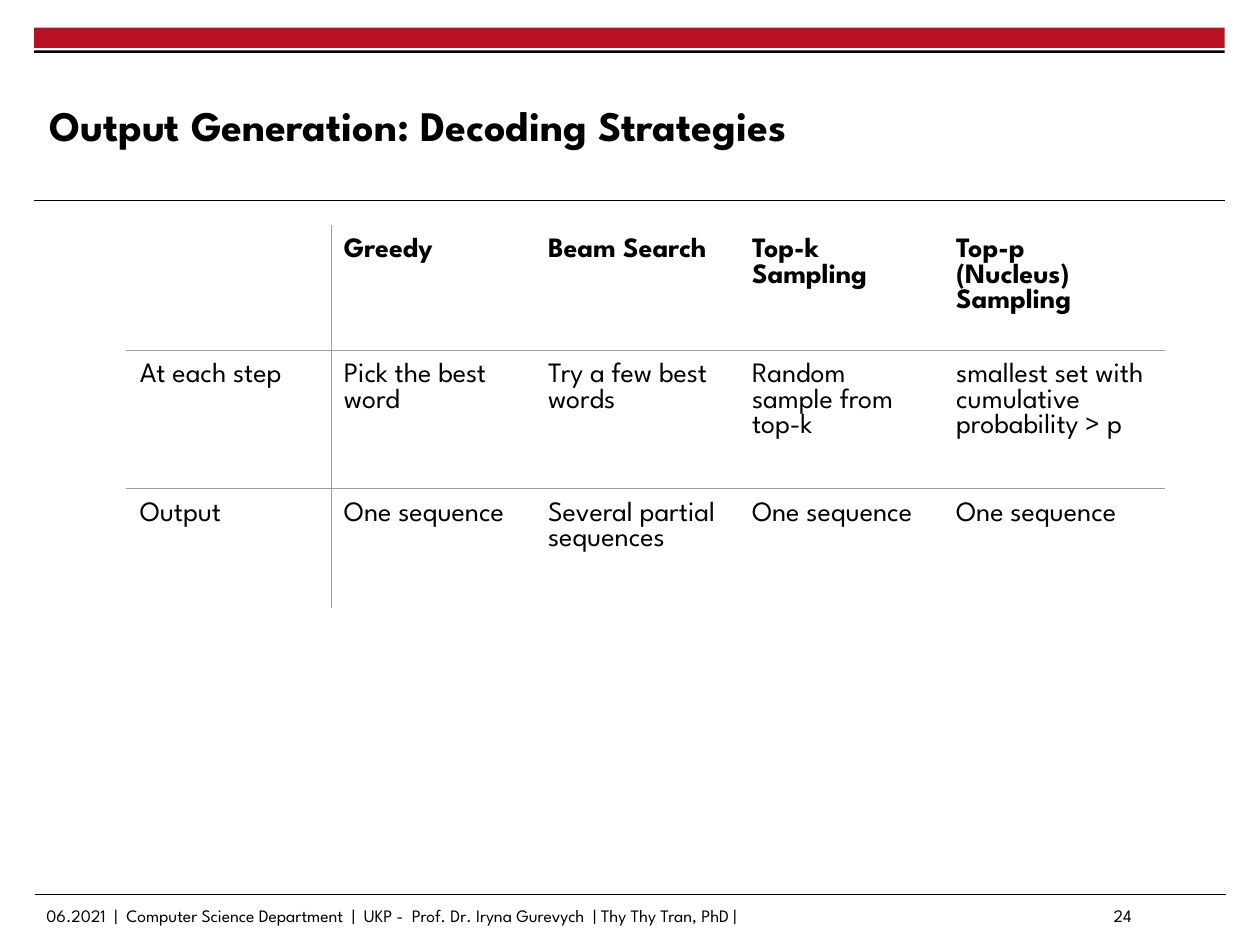
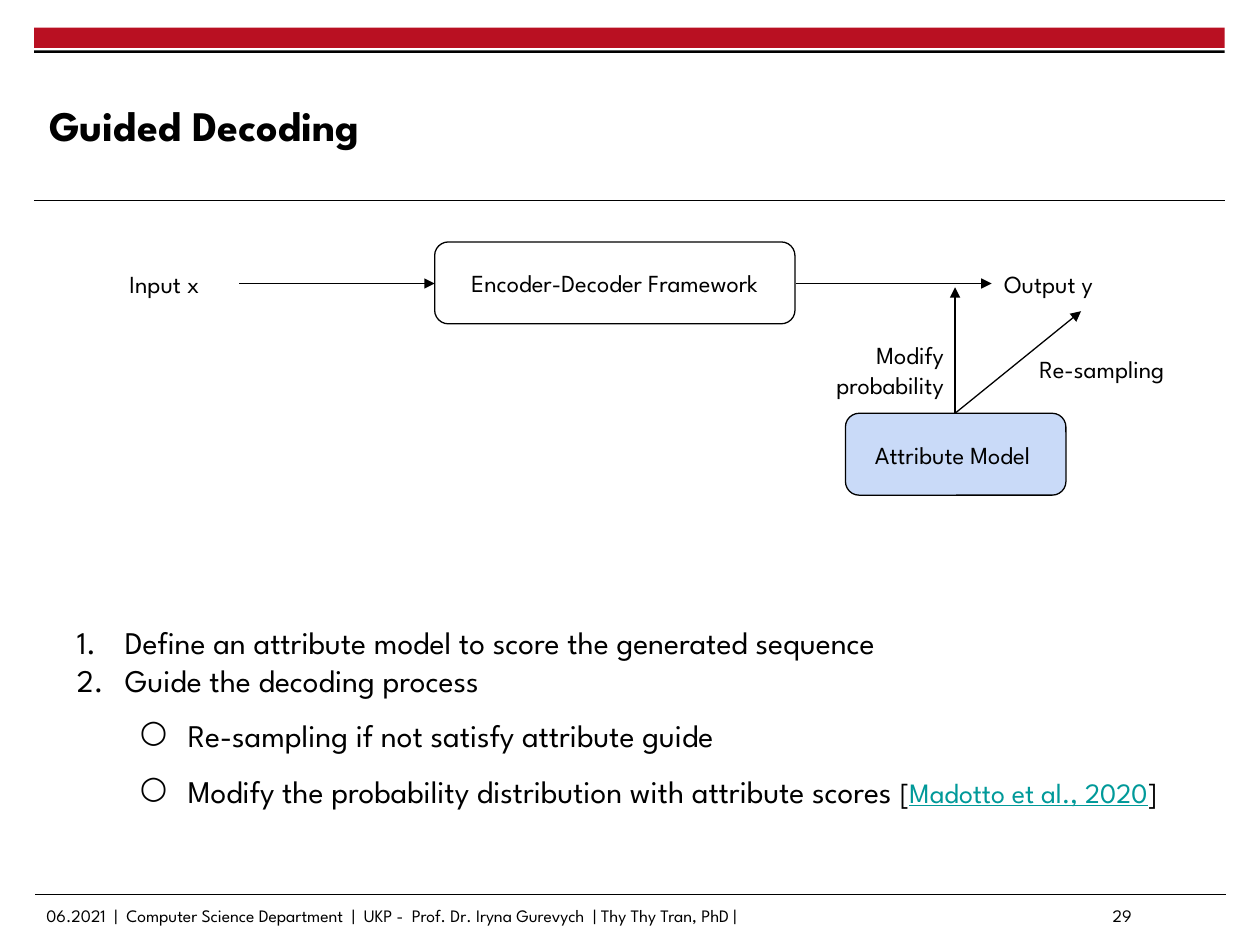
from lxml import etree
from pptx import Presentation
from pptx.dml.color import RGBColor
from pptx.enum.shapes import MSO_CONNECTOR, MSO_SHAPE
from pptx.enum.text import MSO_ANCHOR, MSO_AUTO_SIZE, PP_ALIGN
from pptx.oxml.ns import qn
from pptx.util import Inches, Pt

RECT, ROUNDED = MSO_SHAPE.RECTANGLE, MSO_SHAPE.ROUNDED_RECTANGLE
STRAIGHT = MSO_CONNECTOR.STRAIGHT
LEFT, CENTER, RIGHT = PP_ALIGN.LEFT, PP_ALIGN.CENTER, PP_ALIGN.RIGHT
TOP, MIDDLE = MSO_ANCHOR.TOP, MSO_ANCHOR.MIDDLE
NO_FIT = MSO_AUTO_SIZE.NONE

TITLE_AND_CONTENT, TITLE_ONLY = 1, 5
FONT = "League Spartan"
BLACK, RED, BLUE, TEAL, GRAY = "000000", "B91022", "C9DAF8", "009999", "9E9E9E"
LEADING = 1.21
FOOTER = ("06.2021  |  Computer Science Department  |  UKP -  "
          "Prof. Dr. Iryna Gurevych  | Thy Thy Tran, PhD |")


def rgb(color):
    return RGBColor.from_string(color)


def inches(*values):
    return [Inches(v) for v in values]


def sub(parent, tag, **attrs):
    return etree.SubElement(parent, qn(tag), attrs)


class Deck:
    def __init__(self):
        self.prs = Presentation()
        self.prs.slide_width, self.prs.slide_height = inches(10, 7.5)
        self.s = None

    def slide(self, layout, title, number):
        self.s = self.prs.slides.add_slide(self.prs.slide_layouts[layout])
        self.box(RECT, 0.27, 0.22, 9.45, 0.16, fill=RED)
        self.box(RECT, 0.27, 0.4, 9.45, 0.02, fill=BLACK)
        self.line(0.27, 1.59, 9.72, 1.59)
        self.line(0.28, 7.1, 9.73, 7.1)
        self.label(FOOTER, 0.27, 7.13, 7.95, 0.27, size=10, inset_y=0.05)
        self.label(str(number), 8.06, 7.08, 1.02, 0.37, size=10, align=RIGHT)
        sp = self.s.shapes.title
        self.place(sp, 0.39, 0.53, 7.52, 0.92)
        tf = self.frame(sp, MIDDLE, 0, 0)
        self.paragraph(tf.paragraphs[0], title, 24, bold=True)

    def place(self, sp, x, y, w, h):
        sp.left, sp.top, sp.width, sp.height = inches(x, y, w, h)

    def frame(self, sp, anchor=TOP, inset_x=0.1, inset_y=0.1):
        tf = sp.text_frame
        tf.word_wrap = True
        tf.auto_size = NO_FIT
        tf.vertical_anchor = anchor
        tf.margin_left = tf.margin_right = Inches(inset_x)
        tf.margin_top = tf.margin_bottom = Inches(inset_y)
        return tf

    def run(self, p, text, size, color=BLACK, bold=False, underline=False):
        r = p.add_run()
        r.text = text
        r.font.name, r.font.size = FONT, Pt(size)
        r.font.bold, r.font.underline = bold, underline
        r.font.color.rgb = rgb(color)

    def paragraph(self, p, text, size, align=LEFT, bold=False):
        p.alignment = align
        p.line_spacing = Pt(size * LEADING)
        self.run(p, text, size, bold=bold)

    def label(self, text, x, y, w, h, size=14, align=LEFT, inset_y=0.1):
        sp = self.s.shapes.add_textbox(*inches(x, y, w, h))
        tf = self.frame(sp, inset_y=inset_y)
        self.paragraph(tf.paragraphs[0], text, size, align)

    def box(self, kind, x, y, w, h, fill=None, outline=None, text=None):
        sp = self.s.shapes.add_shape(kind, *inches(x, y, w, h))
        sp.shadow.inherit = False
        if fill:
            sp.fill.solid()
            sp.fill.fore_color.rgb = rgb(fill)
        else:
            sp.fill.background()
        if outline:
            sp.line.color.rgb = rgb(outline)
            sp.line.width = Pt(0.75)
        else:
            sp.line.fill.background()
        if text:
            tf = self.frame(sp, MIDDLE)
            self.paragraph(tf.paragraphs[0], text, 14, CENTER)

    def line(self, x1, y1, x2, y2, arrow=False):
        c = self.s.shapes.add_connector(STRAIGHT, *inches(x1, y1, x2, y2))
        c.line.color.rgb = rgb(BLACK)
        c.line.width = Pt(0.75)
        sp_pr = c._element.spPr
        if arrow:
            sub(sp_pr.find(qn("a:ln")), "a:tailEnd", type="triangle")
        sub(sp_pr, "a:effectLst")

    def steps(self, items, x, y, w, h):
        sp = self.s.placeholders[1]
        self.place(sp, x, y, w, h)
        tf = self.frame(sp)
        for i, (level, runs) in enumerate(items):
            p = tf.add_paragraph() if i else tf.paragraphs[0]
            p.level = level
            p.alignment = LEFT
            p.line_spacing = Pt(18 * LEADING)
            p.space_before = Pt(10 * level)
            p_pr = p._p.get_or_add_pPr()
            p_pr.set("marL", str(Inches(0.5 * (level + 1))))
            p_pr.set("indent", str(Inches(-0.38)))
            sub(sub(p_pr, "a:buClr"), "a:srgbClr", val=BLACK)
            sub(p_pr, "a:buFont", typeface=FONT)
            if level:
                sub(p_pr, "a:buChar", char="○")
            else:
                sub(p_pr, "a:buAutoNum", type="arabicPeriod")
            for text, size, color, underline in runs:
                self.run(p, text, size, color, underline=underline)

    def border(self, cell, sides):
        tc_pr = cell._tc.get_or_add_tcPr()
        for i, side in enumerate(sides):
            ln = etree.Element(qn("a:ln" + side), w=str(Pt(0.75)))
            sub(sub(ln, "a:solidFill"), "a:srgbClr", val=GRAY)
            tc_pr.insert(i, ln)

    def table(self, rows, x, y, widths, heights):
        shape = self.s.shapes.add_table(
            len(rows), len(widths), *inches(x, y, sum(widths), sum(heights)))
        table = shape.table
        table.first_row = table.horz_banding = False
        for column, width in zip(table.columns, widths):
            column.width = Inches(width)
        for row, height in zip(table.rows, heights):
            row.height = Inches(height)
        for i, texts in enumerate(rows):
            for j, text in enumerate(texts):
                cell = table.cell(i, j)
                cell.fill.background()
                cell.margin_left = cell.margin_right = Inches(0.1)
                cell.margin_top = cell.margin_bottom = Inches(0.1)
                edges = {"L": j == 1, "R": j == 0,
                         "T": i > 0, "B": i < len(rows) - 1}
                self.border(cell, [side for side, on in edges.items() if on])
                if not text:
                    continue
                tf = cell.text_frame
                for k, part in enumerate(text.split("\n")):
                    p = tf.add_paragraph() if k else tf.paragraphs[0]
                    self.run(p, part, 16, bold=i == 0)


def strategies_slide(deck):
    deck.slide(TITLE_ONLY, "Output Generation: Decoding Strategies", 24)
    rows = [
        ["", "Greedy", "Beam Search", "Top-k Sampling",
         "Top-p\n(Nucleus) Sampling"],
        ["At each step", "Pick the best word", "Try a few best words",
         "Random sample from top-k",
         "smallest set with cumulative probability > p"],
        ["Output", "One sequence", "Several partial sequences",
         "One sequence", "One sequence"],
    ]
    deck.table(rows, 1.01, 1.79, [1.62] * 4 + [1.75], [0.99, 1.1, 0.95])


def guided_slide(deck):
    deck.slide(TITLE_AND_CONTENT, "Guided Decoding", 29)
    deck.steps([
        (0, [("Define an attribute model to score the generated sequence",
              18, BLACK, False)]),
        (0, [("Guide the decoding process", 18, BLACK, False)]),
        (1, [("Re-sampling if not satisfy attribute guide",
              18, BLACK, False)]),
        (1, [("Modify the probability distribution with attribute scores ",
              18, BLACK, False),
             ("[", 16, BLACK, False),
             ("Madotto et al., 2020", 16, TEAL, True),
             ("]", 16, BLACK, False)]),
    ], 0.39, 4.84, 9.21, 1.96)

    deck.box(ROUNDED, 3.45, 1.92, 2.86, 0.65, outline=BLACK,
             text="Encoder-Decoder Framework")
    deck.box(ROUNDED, 6.71, 3.28, 1.75, 0.65, fill=BLUE, outline=BLACK,
             text="Attribute Model ")
    for ends in [(1.9, 2.25, 3.45, 2.25), (6.32, 2.25, 7.87, 2.25),
                 (7.58, 3.28, 7.58, 2.28), (7.58, 3.28, 8.58, 2.47)]:
        deck.line(*ends, arrow=True)
    deck.label("Input x", 0.71, 2.03, 1.19, 0.44, align=CENTER)
    deck.label("Output y", 7.87, 2.03, 1.42, 0.44)
    deck.label("Modify probability", 6.32, 2.6, 1.27, 0.67, align=RIGHT)
    deck.label("Re-sampling", 8.15, 2.71, 1.45, 0.44)


def main():
    deck = Deck()
    strategies_slide(deck)
    guided_slide(deck)
    deck.prs.save("out.pptx")


if __name__ == "__main__":
    main()
